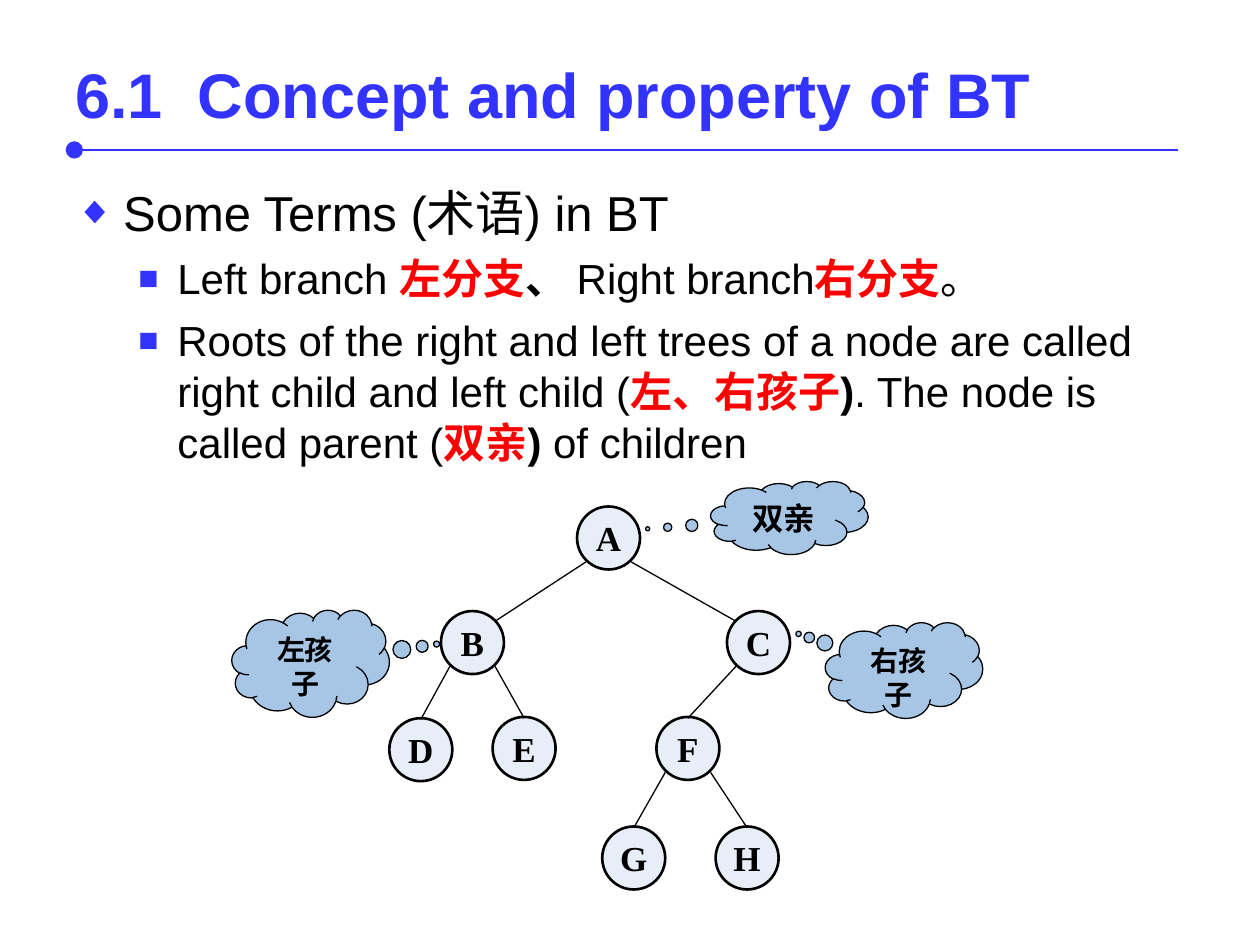
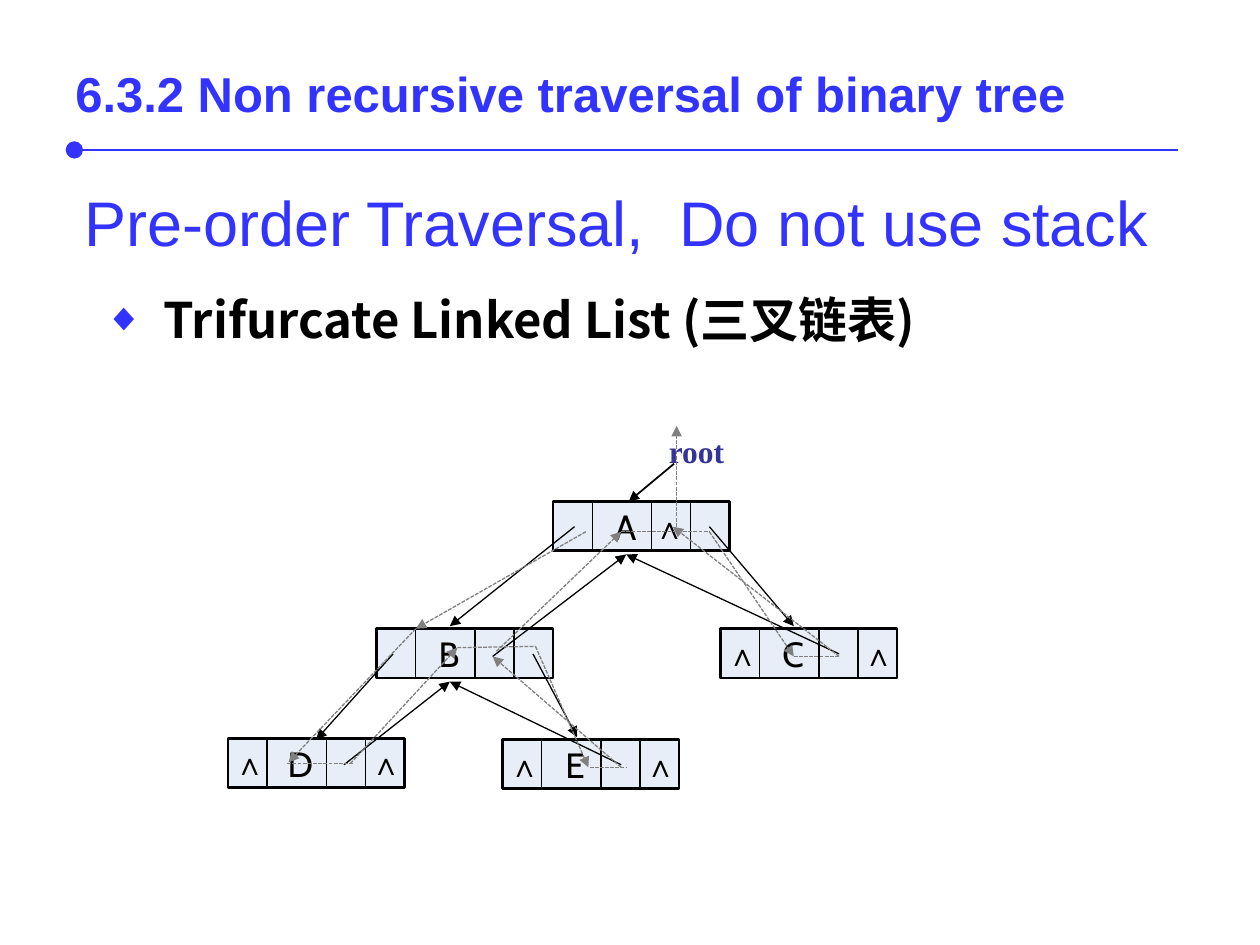
from lxml import etree
from pptx import Presentation
from pptx.dml.color import RGBColor
from pptx.enum.dml import MSO_LINE
from pptx.enum.shapes import MSO_CONNECTOR, MSO_SHAPE
from pptx.enum.text import MSO_ANCHOR, PP_ALIGN
from pptx.oxml.ns import qn
from pptx.util import Pt

PX = 9144
BLUE = RGBColor(0x33, 0x33, 0xFF)
NAVY = RGBColor(0x33, 0x33, 0x99)
RED = RGBColor(0xFF, 0x00, 0x00)
BLACK = RGBColor(0x00, 0x00, 0x00)
GRAY = RGBColor(0x80, 0x80, 0x80)
PALE = RGBColor(0xE8, 0xEE, 0xF7)
CLOUD = RGBColor(0xA7, 0xC6, 0xE5)

STRAIGHT = MSO_CONNECTOR.STRAIGHT
OVAL = MSO_SHAPE.OVAL
RECTANGLE = MSO_SHAPE.RECTANGLE
CALLOUT = MSO_SHAPE.CLOUD_CALLOUT
DASH = MSO_LINE.SQUARE_DOT
CENTER = PP_ALIGN.CENTER
LEFT = PP_ALIGN.LEFT
MIDDLE = MSO_ANCHOR.MIDDLE
TOP = MSO_ANCHOR.TOP

SANS = "Arial"
SERIF = "Times New Roman"
HAN = "Noto Sans CJK SC"
LEADING = 1.22


def font(size, name=SANS, bold=False, color=BLACK):
    return {"size": Pt(size), "name": name, "bold": bold, "color": color}


BODY = font(24)
STRONG = {**BODY, "bold": True}
KEY = {**STRONG, "color": RED}
NODE = font(20, SERIF, True)
LETTER = font(20, "Cabin")
NULL = font(18, SANS, True)


class Deck:
    def __init__(self):
        self.deck = Presentation()
        self.deck.slide_width = 1000 * PX
        self.deck.slide_height = 750 * PX
        self.page = None

    def add_page(self, title, size):
        self.page = self.deck.slides.add_slide(self.deck.slide_layouts[6])
        self.line((59, 119), (935, 119), color=BLUE, width=1.5, head="oval")
        self.text((50, 30, 900, 88), title, font(size, SANS, True, BLUE), anchor=MIDDLE)

    def line(self, start, end, color=BLACK, width=0.75, dash=None, head=None, tail=None):
        points = [value * PX for value in (*start, *end)]
        connector = self.page.shapes.add_connector(STRAIGHT, *points)
        connector.line.color.rgb = color
        connector.line.width = Pt(width)
        if dash:
            connector.line.dash_style = dash
        outline = connector.line._get_or_add_ln()
        for tag, kind, size in (("a:headEnd", head, "lg"), ("a:tailEnd", tail, "med")):
            if kind:
                etree.SubElement(outline, qn(tag), type=kind, w=size, len=size)
        etree.SubElement(connector._element.spPr, qn("a:effectLst"))

    def arrow(self, start, end, **options):
        self.line(start, end, tail="triangle", **options)

    def shape(self, kind, bounds, fill, width, adjust=()):
        shape = self.page.shapes.add_shape(kind, *[value * PX for value in bounds])
        shape.shadow.inherit = False
        shape.fill.solid()
        shape.fill.fore_color.rgb = fill
        shape.line.color.rgb = BLACK
        shape.line.width = Pt(width)
        for index, value in enumerate(adjust):
            shape.adjustments[index] = value
        return shape

    def box(self, bounds, anchor=TOP, wrap=True):
        box = self.page.shapes.add_textbox(*[value * PX for value in bounds])
        box.text_frame.word_wrap = wrap
        box.text_frame.vertical_anchor = anchor
        return box.text_frame

    def text(self, bounds, words, style, align=LEFT, anchor=TOP, wrap=True):
        frame = self.box(bounds, anchor, wrap)
        self.fill(frame.paragraphs[0], [(words, style)], align)

    def fill(self, para, spans, align=LEFT, leading=None):
        para.alignment = align
        if leading:
            para.line_spacing = Pt(leading)
        for words, style in spans:
            span = para.add_run()
            span.text = words
            for field in ("size", "name", "bold"):
                setattr(span.font, field, style[field])
            span.font.color.rgb = style["color"]
            etree.SubElement(span._r.get_or_add_rPr(), qn("a:ea"), typeface=HAN)

    def bullets(self, bounds, items):
        frame = self.box(bounds)
        for index, (mark, margin, indent, spans) in enumerate(items):
            para = frame.add_paragraph() if index else frame.paragraphs[0]
            properties = para._p.get_or_add_pPr()
            properties.set("marL", str(margin * PX))
            properties.set("indent", str(-indent * PX))
            color = etree.SubElement(properties, qn("a:buClr"))
            etree.SubElement(color, qn("a:srgbClr"), val=str(BLUE))
            etree.SubElement(properties, qn("a:buSzPct"), val="80000")
            etree.SubElement(properties, qn("a:buFont"), typeface=SANS)
            etree.SubElement(properties, qn("a:buChar"), char=mark)
            if index:
                para.space_before = Pt(6)
            self.fill(para, spans, leading=LEADING * spans[0][1]["size"].pt)

    def tree_node(self, letter, left, top):
        frame = self.shape(OVAL, (left, top, 50, 50), PALE, 1.5).text_frame
        frame.word_wrap = False
        frame.vertical_anchor = MIDDLE
        self.fill(frame.paragraphs[0], [(letter, NODE)], CENTER)

    def cloud(self, words, size, bounds, adjust):
        frame = self.shape(CALLOUT, bounds, CLOUD, 0.75, adjust).text_frame
        frame.word_wrap = True
        frame.vertical_anchor = TOP
        self.fill(frame.paragraphs[0], [(words, font(size, SERIF, True))], CENTER, LEADING * size)

    def record(self, letter, left, top, nulls):
        self.shape(RECTANGLE, (left, top, 140, 39), PALE, 1.5)
        self.text((left + 34, top - 2, 47, 44), letter, LETTER, CENTER)
        for offset in (31, 78, 109):
            self.line((left + offset, top), (left + offset, top + 39))
        for offset in nulls:
            self.text((left + offset, top, 45, 40), "∧", NULL, wrap=False)


def build_terms(deck):
    deck.add_page("6.1  Concept and property of BT", 36)
    deck.bullets((50, 139, 900, 531), [
        ("◆", 38, 38, [("Some Terms (术语) in BT", font(28))]),
        ("■", 81, 31, [
            ("Left branch ", BODY), ("左分支", KEY), ("、 ", STRONG),
            ("Right branch", BODY), ("右分支", KEY), ("。", BODY),
        ]),
        ("■", 81, 31, [
            ("Roots of the right and left trees of a node are called "
             "right child and left child (", BODY),
            ("左、右孩子", KEY), (")", STRONG), (". The node is called parent (", BODY),
            ("双亲", KEY), (") ", STRONG), ("of children", BODY),
        ]),
    ])
    nodes = {
        "A": (458, 402), "B": (350, 485), "C": (577, 485), "D": (309, 570),
        "E": (391, 569), "F": (521, 569), "G": (478, 656), "H": (568, 656),
    }
    for letter, corner in nodes.items():
        deck.tree_node(letter, *corner)
    for parent, child in ("AB", "AC", "BD", "BE", "CF", "FG", "FH"):
        left, top = nodes[parent]
        child_left, child_top = nodes[child]
        side = 1 if child_left > left else -1
        start = (left + 25 + 18 * side, top + 44)
        end = (child_left + 25, child_top + 1)
        if parent == "A":
            end = (child_left + 25 - 18 * side, child_top + 8)
        deck.line(start, end)
    deck.cloud("左孩子", 16, (184, 484, 125, 85), (0.8, -0.18))
    deck.cloud("右孩子", 16, (655, 494, 125, 76), (-0.67, -0.38))
    deck.cloud("双亲", 18, (564, 382, 125, 58), (-0.9, 0.15))


def build_traversal(deck):
    deck.add_page("6.3.2 Non recursive traversal of binary tree", 28)
    deck.text((57, 141, 891, 70), "Pre-order Traversal,  Do not use stack", font(36, color=BLUE))
    deck.bullets((30, 224, 918, 69), [
        ("◆", 90, 47, [("Trifurcate Linked List (三叉链表)", font(28, HAN, True))]),
    ])
    deck.arrow((535, 368), (499, 398), width=1)
    deck.text((521, 338, 64, 40), "root", font(18, SERIF, True, NAVY), wrap=False)

    left_link, parent_link, right_link = -5, 70, 103
    for letter, left, top, nulls in (
        ("A", 439, 398, [parent_link]),
        ("B", 299, 499, []),
        ("C", 572, 499, [left_link, right_link]),
        ("D", 181, 586, [left_link, right_link]),
        ("E", 399, 587, [left_link, right_link]),
    ):
        deck.record(letter, left, top, nulls)

    below_a, above_b, below_b = (497, 440), (357, 497), (357, 541)
    for start, end in (
        ((563, 418), (630, 497)), ((273, 607), below_b), ((493, 607), below_b),
        ((666, 519), below_a), ((456, 418), above_b), ((423, 519), (458, 585)),
        ((312, 519), (251, 587)), ((391, 521), below_a),
    ):
        deck.arrow(start, end)

    for start, end in (
        ((465, 422), (330, 499)), ((330, 499), (229, 605)), ((278, 606), (363, 514)),
        ((425, 513), (467, 609)), ((493, 609), (391, 521)), ((394, 517), (493, 422)),
        ((563, 422), (630, 521)), ((666, 521), (534, 418)), ((537, 418), (537, 338)),
    ):
        deck.arrow(start, end, color=GRAY, dash=DASH)
    for start, end in (
        ((228, 606), (281, 606)), ((468, 609), (497, 609)), ((493, 422), (563, 422)),
        ((630, 521), (666, 521)), ((363, 514), (425, 513)),
    ):
        deck.line(start, end, color=GRAY, dash=DASH)


def main():
    deck = Deck()
    build_terms(deck)
    build_traversal(deck)
    deck.deck.save("out.pptx")


if __name__ == "__main__":
    main()
